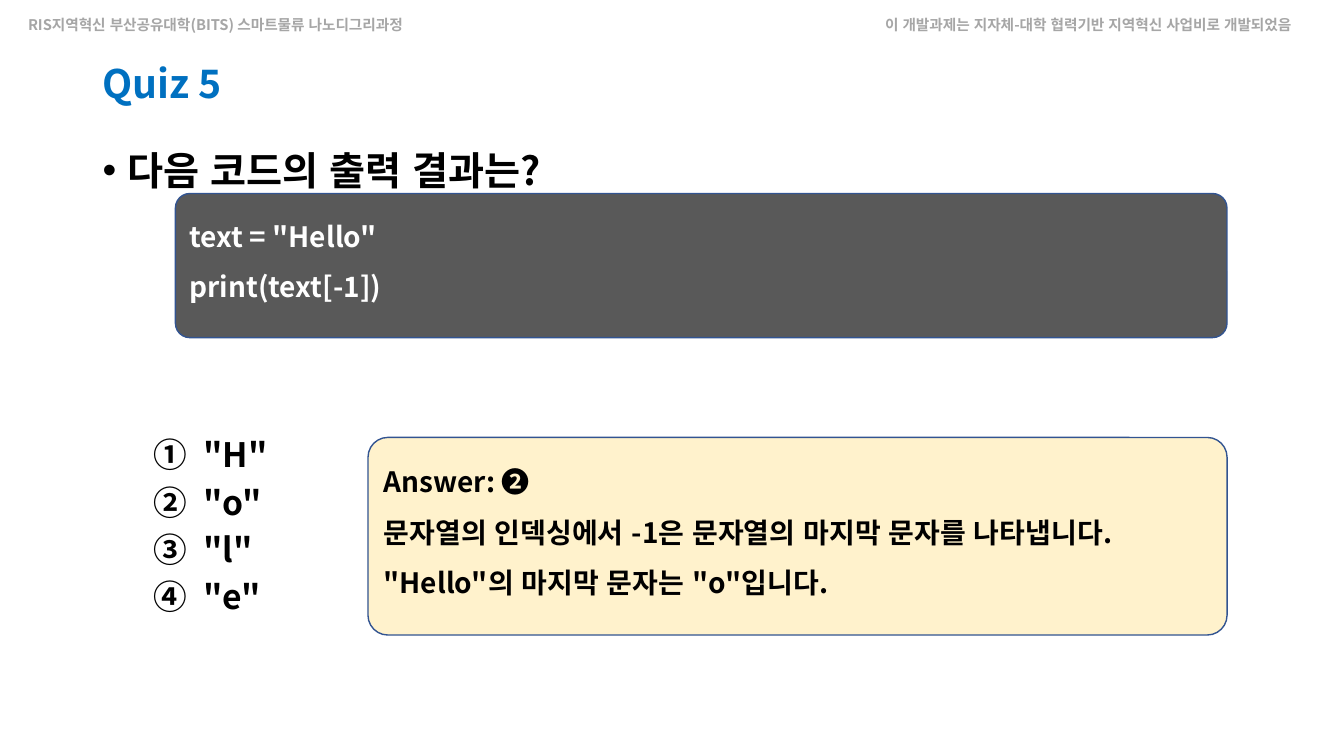
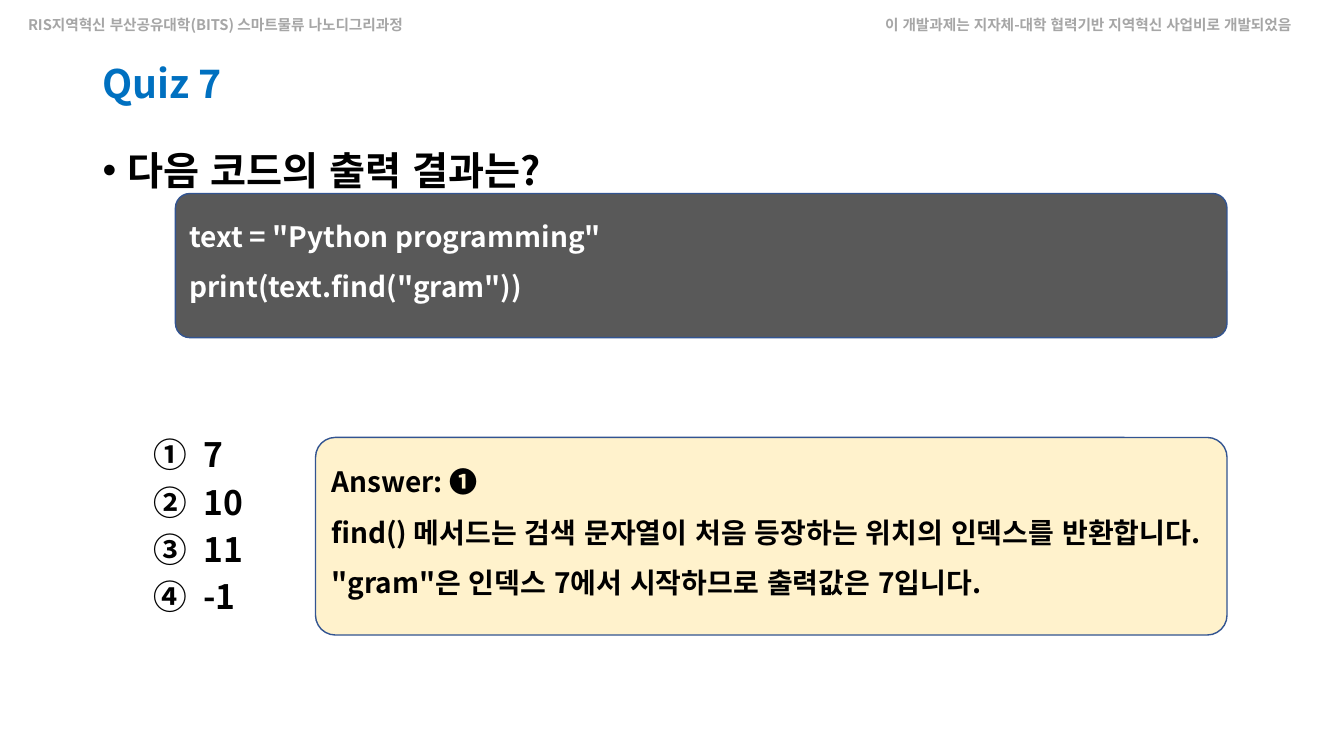
from lxml import etree
from pptx import Presentation
from pptx import util as u
from pptx.dml.color import RGBColor
from pptx.enum import lang, shapes, text
from pptx.oxml import ns

FONT = "Noto Sans CJK KR"
GRAY = RGBColor(0xA6, 0xA6, 0xA6)
BLUE = RGBColor(0x00, 0x70, 0xC0)
BLACK = RGBColor(0x00, 0x00, 0x00)
WHITE = RGBColor(0xFF, 0xFF, 0xFF)
CODE_FILL = RGBColor(0x59, 0x59, 0x59)
ANSWER_FILL = RGBColor(0xFF, 0xF2, 0xCC)
OUTLINE = RGBColor(0x32, 0x54, 0x91)

HEADERS = [
    ("RIS지역혁신 부산공유대학(BITS) 스마트물류 나노디그리과정", (18, 11, 440, 28)),
    ("이 개발과제는 지자체-대학 협력기반 지역혁신 사업비로 개발되었음", (868, 11, 465, 28)),
]
QUESTION = "다음 코드의 출력 결과는?"
PANEL_RIGHT = 1217

QUIZZES = [
    {
        "title": "Quiz 5",
        "code": ['text = "Hello"', "print(text[-1])"],
        "choices": ['"H"', '"o"', '"l"', '"e"'],
        "answer": [
            "Answer: ❷",
            '문자열의 인덱싱에서 -1은 문자열의 마지막 문자를 나타냅니다. "Hello"의 마지막 문자는 "o"입니다.',
        ],
        "answer_left": 365,
    },
    {
        "title": "Quiz 7",
        "code": ['text = "Python programming"', 'print(text.find("gram"))'],
        "choices": ["7", "10", "11", "-1"],
        "answer": [
            "Answer: ❶",
            'find() 메서드는 검색 문자열이 처음 등장하는 위치의 인덱스를 반환합니다. "gram"은 인덱스 7에서 시작하므로 출력값은 7입니다.',
        ],
        "answer_left": 313,
    },
]


def px(length):
    return u.Emu(length * 9144)


def add_bullet(paragraph, indent, hanging, tag, **attributes):
    properties = paragraph._p.get_or_add_pPr()
    properties.set("marL", str(px(indent)))
    properties.set("indent", str(px(-hanging)))
    font = etree.SubElement(properties, ns.qn("a:buFont"))
    font.set("typeface", "Arial" if tag == "a:buChar" else FONT)
    bullet = etree.SubElement(properties, ns.qn(tag))
    for name, value in attributes.items():
        bullet.set(name, value)


def write(shape, lines, size, color, spacing=1.0, gap=0, bullet=None,
          anchor=text.MSO_ANCHOR.TOP):
    frame = shape.text_frame
    frame.word_wrap = True
    frame.vertical_anchor = anchor
    for index, line in enumerate(lines):
        paragraph = frame.add_paragraph() if index else frame.paragraphs[0]
        if bullet:
            add_bullet(paragraph, **bullet)
        paragraph.alignment = text.PP_ALIGN.LEFT
        paragraph.line_spacing = spacing
        paragraph.space_before = u.Pt(gap if index else 0)
        run = paragraph.add_run()
        run.text = line
        font = run.font
        font.name, font.size, font.bold = FONT, u.Pt(size), True
        font.color.rgb = color
        font.language_id = lang.MSO_LANGUAGE_ID.KOREAN
        east_asian = etree.SubElement(run._r.get_or_add_rPr(), ns.qn("a:ea"))
        east_asian.set("typeface", FONT)


def add_text(slide, box, lines, size, color, **style):
    write(slide.shapes.add_textbox(*map(px, box)), lines, size, color, **style)


def add_panel(slide, left, top, height, lines, fill, color):
    box = (left, top, PANEL_RIGHT - left, height)
    panel = slide.shapes.add_shape(shapes.MSO_SHAPE.ROUNDED_RECTANGLE, *map(px, box))
    panel.adjustments[0] = 0.1
    panel.shadow.inherit = False
    panel.fill.solid()
    panel.fill.fore_color.rgb = fill
    panel.line.color.rgb = OUTLINE
    panel.line.width = u.Pt(1)
    write(panel, lines, 20, color, spacing=1.5)


def add_quiz(presentation, quiz):
    slide = presentation.slides.add_slide(presentation.slide_layouts[6])
    for header, box in HEADERS:
        add_text(slide, box, [header], 10.5, GRAY)
    add_text(slide, (92, 40, 1150, 90), [quiz["title"]], 28, BLUE, spacing=0.9,
             anchor=text.MSO_ANCHOR.MIDDLE)
    add_text(slide, (92, 117, 1208, 80), [QUESTION], 28, BLACK, spacing=1.5,
             bullet=dict(indent=25, hanging=25, tag="a:buChar", char="•"))
    add_text(slide, (142, 426, 165, 190), quiz["choices"], 24, BLACK, gap=5,
             bullet=dict(indent=50, hanging=50, tag="a:buAutoNum",
                         type="circleNumDbPlain"))
    add_panel(slide, 174, 192, 143, quiz["code"], CODE_FILL, WHITE)
    add_panel(slide, quiz["answer_left"], 434, 196, quiz["answer"], ANSWER_FILL, BLACK)


def main():
    presentation = Presentation()
    presentation.slide_width, presentation.slide_height = px(1333), px(750)
    for quiz in QUIZZES:
        add_quiz(presentation, quiz)
    presentation.save("out.pptx")


if __name__ == "__main__":
    main()
